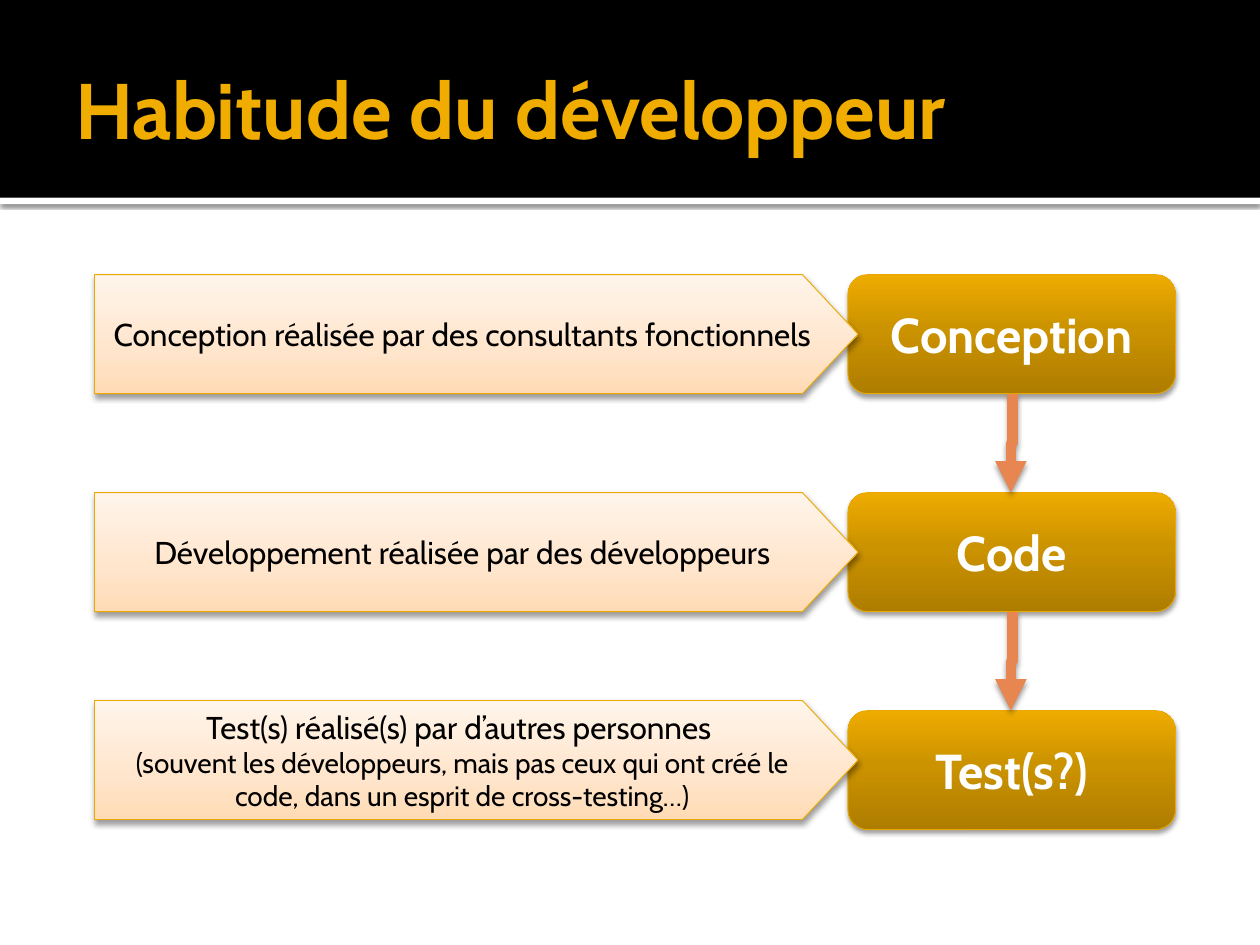
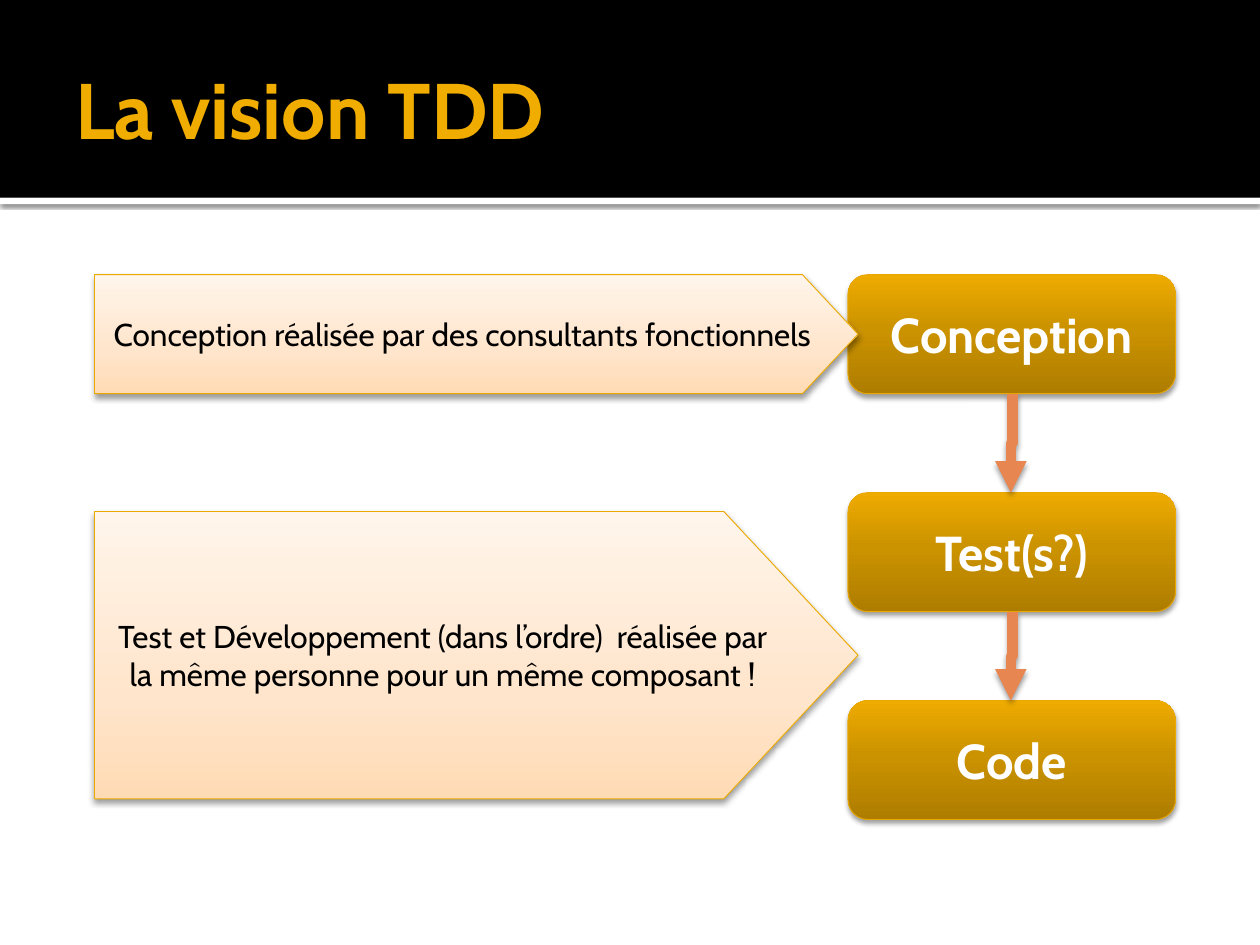
from dataclasses import dataclass

from lxml.etree import SubElement
from copy import deepcopy
from pptx import Presentation
from pptx.dml.color import RGBColor as RGB
from pptx.enum.shapes import MSO_CONNECTOR as CONN, MSO_SHAPE as SHAPE
from pptx.enum.text import MSO_ANCHOR as ANCHOR, PP_ALIGN as ALIGN
from pptx.oxml.ns import qn
from pptx.util import Emu, Inches, Pt

WIDTH, HEIGHT = Inches(10), Inches(7.5)
COLUMN, ROW = WIDTH / 100, HEIGHT / 75
FONT = "Cabin"
COLORS = {
    "black": "000000", "white": "FFFFFF", "title": "F0AD00",
    "outline": "EBA900", "arrow": "E88651",
}
GOLD = ((0, "AE7D00"), (0.55, "CC9300"), (1, "EEAB00"))
CREAM = ((0, "FFDBB5"), (0.35, "FFE5CB"), (1, "FFF5EB"))

TOP, PITCH, ITEM_ROWS = 21.8, 17.3, 9.45
FIRST, SECOND, THIRD = (TOP + i * PITCH for i in range(3))
RAISED_THIRD = 55.6
ARROW_CENTER, ARROW_JOG = 80.3, 0.15


@dataclass(frozen=True)
class Style:
    shape: SHAPE
    column: float
    columns: float
    stops: tuple
    blur: float
    color: str
    sizes: tuple
    bold: bool = False


@dataclass(frozen=True)
class Item:
    text: str
    row: float
    rows: float = ITEM_ROWS


@dataclass(frozen=True)
class Page:
    title: str
    steps: tuple
    actors: tuple


STEP = Style(SHAPE.ROUNDED_RECTANGLE, 67.3, 26, GOLD, 3.1, "white", (28,), True)
ACTOR = Style(SHAPE.PENTAGON, 7.5, 60.6, CREAM, 3.5, "black", (18, 16))
DESIGN = Item("Conception réalisée par des consultants fonctionnels", FIRST)

PAGES = (
    Page(
        "Habitude du développeur",
        (Item("Conception", FIRST), Item("Code", SECOND), Item("Test(s?)", THIRD)),
        (
            DESIGN,
            Item("Développement réalisée par des développeurs", SECOND),
            Item("Test(s) réalisé(s) par d’autres personnes \v(souvent les développeurs, "
                 "mais pas ceux qui ont créé le code, dans un esprit de cross-testing…)",
                 RAISED_THIRD),
        ),
    ),
    Page(
        "La vision TDD",
        (Item("Conception", FIRST), Item("Test(s?)", SECOND), Item("Code", RAISED_THIRD)),
        (
            DESIGN,
            Item("Test et Développement (dans l’ordre)  réalisée par la même personne "
                 "pour un même composant !", 40.6, 22.8),
        ),
    ),
)


def rgb(name: str) -> RGB:
    return RGB.from_string(COLORS[name])


def grid(column: float, row: float, columns: float, rows: float) -> tuple:
    return tuple(Emu(round(v)) for v in
                 (column * COLUMN, row * ROW, columns * COLUMN, rows * ROW))


def add_shadow(sp, blur: float, distance: float, opacity: int) -> None:
    spPr = sp._element.spPr
    effects = spPr.find(qn("a:effectLst"))
    if effects is None:
        effects = SubElement(spPr, qn("a:effectLst"))
    shadow = SubElement(effects, qn("a:outerShdw"), blurRad=str(Pt(blur)),
                        dist=str(Pt(distance)), dir="5400000", rotWithShape="0")
    color = SubElement(shadow, qn("a:srgbClr"), val=COLORS["black"])
    SubElement(color, qn("a:alpha"), val=str(opacity * 1000))


def fill_gradient(sp, stops: tuple) -> None:
    fill = sp.fill
    fill.gradient()
    fill.gradient_angle = 90
    stop_list = sp._element.spPr.find(qn("a:gradFill")).find(qn("a:gsLst"))
    stop_list.append(deepcopy(stop_list[0]))
    for stop, (position, color) in zip(fill.gradient_stops, stops):
        stop.position = position
        stop.color.rgb = RGB.from_string(color)


def format_run(r, size: float, color: str, bold: bool) -> None:
    r.font.name, r.font.size, r.font.bold = FONT, Pt(size), bold
    r.font.color.rgb = rgb(color)


def add_band(slide, row: float, rows: float, color: str):
    sp = slide.shapes.add_shape(SHAPE.RECTANGLE, *grid(0, row, 100, rows))
    sp.shadow.inherit = False
    sp.fill.solid()
    sp.fill.fore_color.rgb = rgb(color)
    sp.line.fill.background()
    return sp


def add_header(slide, title: str) -> None:
    add_shadow(add_band(slide, 15.7, 0.5, "white"), 2.5, 0.8, 60)
    add_band(slide, 0, 15.7, "black")
    tf = slide.shapes.add_textbox(*grid(5, 1.7, 90, 13.7)).text_frame
    tf.word_wrap = True
    tf.vertical_anchor = ANCHOR.MIDDLE
    tf.margin_left = Inches(0.1)
    tf.margin_top = tf.margin_right = tf.margin_bottom = Inches(0.05)
    tf.text = title
    format_run(tf.paragraphs[0].runs[0], 45, "title", True)


def add_item(slide, item: Item, style: Style) -> None:
    sp = slide.shapes.add_shape(
        style.shape, *grid(style.column, item.row, style.columns, item.rows))
    if style.shape == SHAPE.PENTAGON:
        sp.adjustments[0] = 0.467
    sp.shadow.inherit = False
    fill_gradient(sp, style.stops)
    sp.line.color.rgb = rgb("outline")
    sp.line.width = Pt(0.5)
    add_shadow(sp, style.blur, 2, 38)
    tf = sp.text_frame
    tf.word_wrap = True
    tf.vertical_anchor = ANCHOR.MIDDLE
    p = tf.paragraphs[0]
    p.text = item.text
    p.alignment = ALIGN.CENTER
    for r, size in zip(p.runs, style.sizes):
        format_run(r, size, style.color, style.bold)


def add_arrow(slide, upper: Item, lower: Item) -> None:
    start = upper.row + upper.rows
    length = lower.row - start
    middle = start + length / 2
    left, top, width, height = grid(
        ARROW_CENTER - length / 2, middle - ARROW_JOG / 2, length, ARROW_JOG)
    sp = slide.shapes.add_connector(CONN.ELBOW, left, top, left + width, top + height)
    sp._element.spPr.find(qn("a:xfrm")).set("rot", "5400000")
    sp.line.color.rgb = rgb("arrow")
    sp.line.width = Pt(6)
    SubElement(sp._element.spPr.find(qn("a:ln")), qn("a:tailEnd"), type="triangle")
    add_shadow(sp, 3.1, 2, 38)


def add_page(prs, page: Page) -> None:
    slide = prs.slides.add_slide(prs.slide_layouts[6])
    add_header(slide, page.title)
    for step in page.steps:
        add_item(slide, step, STEP)
    for upper, lower in zip(page.steps, page.steps[1:]):
        add_arrow(slide, upper, lower)
    for actor in page.actors:
        add_item(slide, actor, ACTOR)


def main() -> None:
    prs = Presentation()
    prs.slide_width, prs.slide_height = WIDTH, HEIGHT
    for page in PAGES:
        add_page(prs, page)
    prs.save("out.pptx")


if __name__ == "__main__":
    main()
